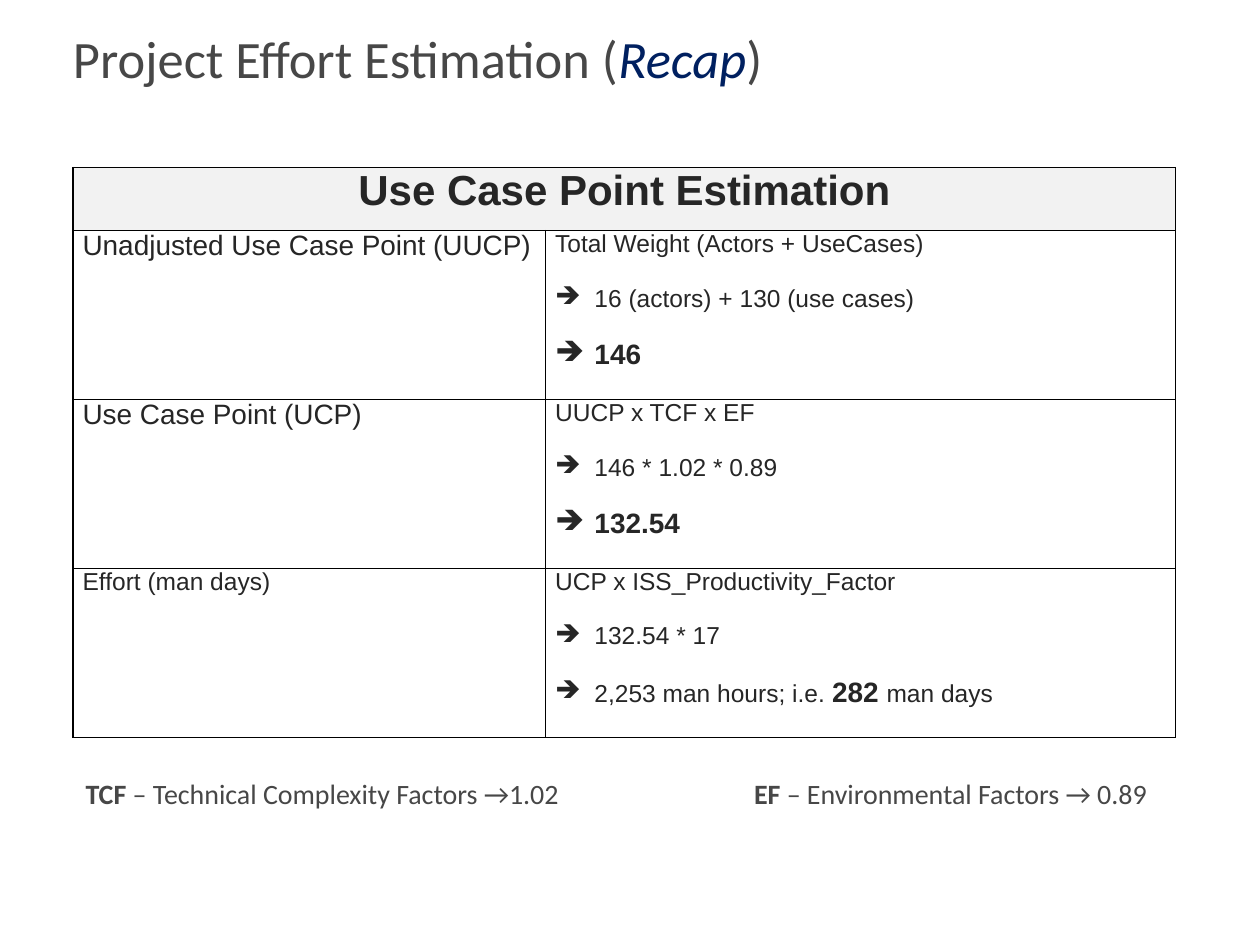
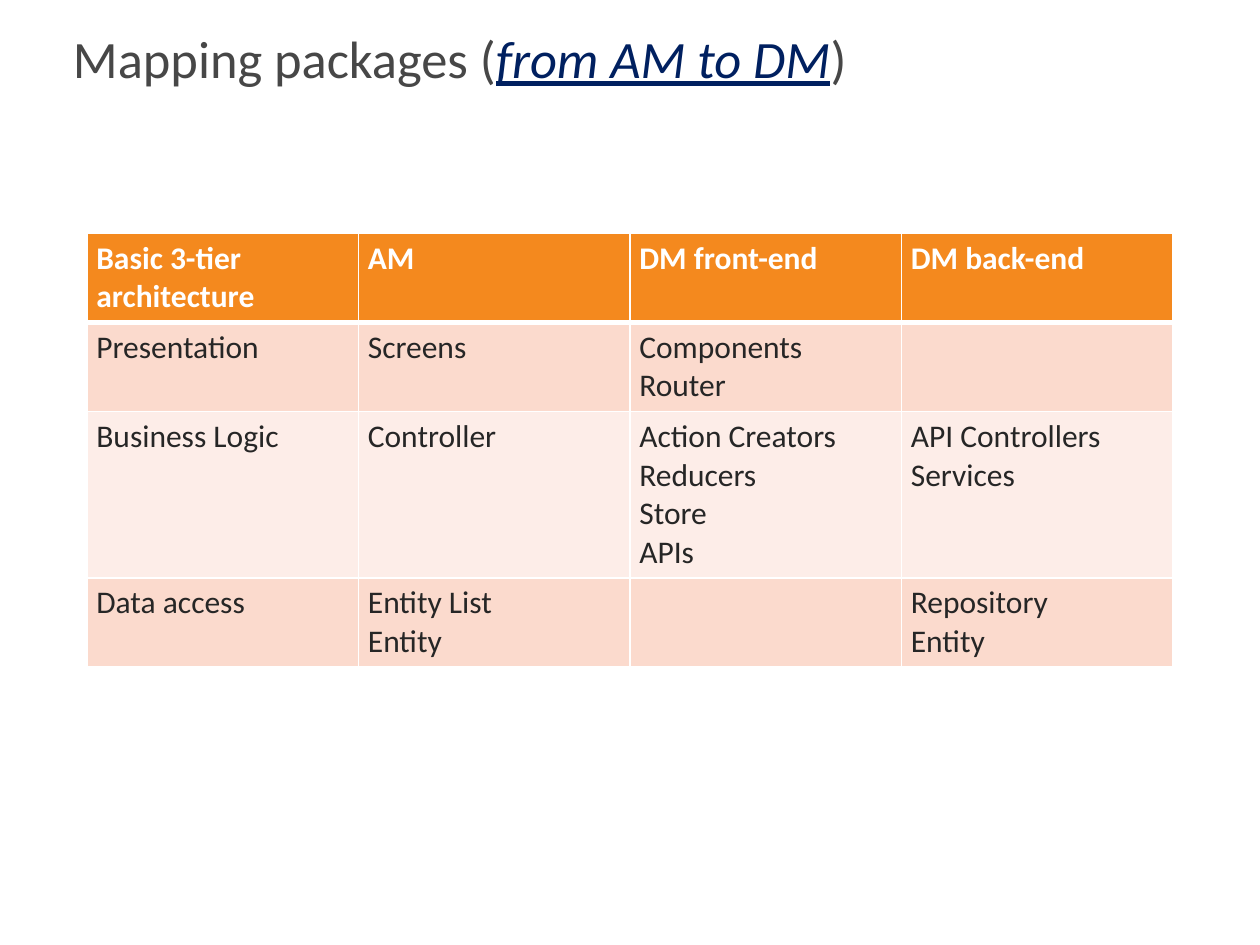
import dataclasses
import lxml.etree
import pptx
import pptx.dml.color
import pptx.enum.text
import pptx.oxml.ns
import pptx.util

Pt = pptx.util.Pt
Align = pptx.enum.text.PP_ALIGN
Anchor = pptx.enum.text.MSO_ANCHOR


@dataclasses.dataclass(frozen=True)
class Theme:
    heading: str = "474747"
    accent: str = "002060"
    text: str = "262626"
    white: str = "FFFFFF"
    grid: str = "000000"
    banner: str = "F2F2F2"
    header: str = "F4891E"
    bands: tuple = ("FBDACD", "FDEDE8")
    sans: str = "Calibri"
    estimate_font: str = "Arial"
    title_size: float = 30
    banner_size: float = 24
    mapping_size: float = 18
    large: float = 16
    small: float = 14


@dataclasses.dataclass(frozen=True)
class Box:
    left: float
    top: float
    width: float
    height: float

    def lengths(self):
        return Pt(self.left), Pt(self.top), Pt(self.width), Pt(self.height)


THEME = Theme()
TITLE_BOX = Box(34.5, 5.75, 661.7, 54)
ESTIMATE_BOX = Box(41.8, 95.8, 630, 325.5)
FACTORS_BOX = Box(41.8, 444.2, 630, 18)
MAPPING_BOX = Box(49.7, 133.2, 620.6, 248)

STRONG = dict(size=THEME.large, bold=True)
ESTIMATES = [
    ("Unadjusted Use Case Point (UUCP)", THEME.large,
     ["Total Weight (Actors + UseCases)", "16 (actors) + 130 (use cases)", [("146", STRONG)]]),
    ("Use Case Point (UCP)", THEME.large,
     ["UUCP x TCF x EF", "146 * 1.02 * 0.89", [("132.54", STRONG)]]),
    ("Effort (man days)", THEME.small,
     ["UCP x ISS_Productivity_Factor", "132.54 * 17",
      ["2,253 man hours; i.e. ", ("282 ", STRONG), "man days"]]),
]
MAPPING = [
    [["Basic 3-tier architecture"], ["AM"], ["DM front-end"], ["DM back-end"]],
    [["Presentation"], ["Screens"], ["Components", "Router"], []],
    [["Business Logic"], ["Controller"],
     ["Action Creators", "Reducers", "Store", "APIs"], ["API Controllers", "Services"]],
    [["Data access"], ["Entity List", "Entity"], [], ["Repository", "Entity"]],
]


def add_xml(parent, tag, **attributes):
    return lxml.etree.SubElement(parent, pptx.oxml.ns.qn(tag), attributes)


def rgb(color):
    return pptx.dml.color.RGBColor.from_string(color)


def write(frame, paragraphs, size, color, font=THEME.sans, bold=False,
          italic=False, underline=False, align=Align.LEFT):
    base = dict(size=size, color=color, font=font, bold=bold,
                italic=italic, underline=underline)
    for index, content in enumerate(paragraphs):
        paragraph = frame.paragraphs[0] if index == 0 else frame.add_paragraph()
        paragraph.alignment = align
        for piece in [content] if isinstance(content, str) else content:
            words, changes = (piece, {}) if isinstance(piece, str) else piece
            look = {**base, **changes}
            run = paragraph.add_run()
            run.text = words
            run.font.size = Pt(look["size"])
            run.font.name = look["font"]
            run.font.bold = look["bold"]
            run.font.italic = look["italic"]
            run.font.underline = look["underline"]
            run.font.color.rgb = rgb(look["color"])


def arrow_bullet(paragraph, indent=22.5, gap=15.3):
    paragraph.space_before = Pt(gap)
    properties = paragraph._p.get_or_add_pPr()
    properties.set("marL", str(Pt(indent)))
    properties.set("indent", str(-Pt(indent)))
    add_xml(properties, "a:buChar", char="➔")


def style_cell(cell, border, fill=None, inset=0, bottom=1):
    cell.margin_left = cell.margin_right = Pt(5.4)
    cell.margin_top = cell.margin_bottom = Pt(inset)
    properties = cell._tc.get_or_add_tcPr()
    for side in "LRTB":
        width = bottom if side == "B" else 1
        line = add_xml(properties, "a:ln" + side, w=str(Pt(width)))
        add_xml(add_xml(line, "a:solidFill"), "a:srgbClr", val=border)
    if fill:
        cell.fill.solid()
        cell.fill.fore_color.rgb = rgb(fill)
    else:
        cell.fill.background()


def add_grid(slide, box, widths, heights):
    grid = slide.shapes.add_table(len(heights), len(widths), *box.lengths()).table
    grid.first_row = grid.horz_banding = False
    for column, width in zip(grid.columns, widths):
        column.width = Pt(width)
    for row, height in zip(grid.rows, heights):
        row.height = Pt(height)
    return grid


def titled_slide(deck, box, lead, emphasis, **emphasis_format):
    slide = deck.slides.add_slide(deck.slide_layouts[5])
    title = slide.shapes.title
    title.left, title.top, title.width, title.height = box.lengths()
    frame = title.text_frame
    frame.auto_size = pptx.enum.text.MSO_AUTO_SIZE.NONE
    frame.vertical_anchor = Anchor.MIDDLE
    accent = dict(color=THEME.accent, italic=True, **emphasis_format)
    write(frame, [[lead + " (", (emphasis, accent), ")"]],
          size=THEME.title_size, color=THEME.heading)
    return slide


def estimate_table(slide, box):
    banner_height = 36
    row_height = (box.height - banner_height) / len(ESTIMATES)
    grid = add_grid(slide, box, [box.width * 3 / 7, box.width * 4 / 7],
                    [banner_height] + [row_height] * len(ESTIMATES))
    for index, row in enumerate(grid.rows):
        for cell in row.cells:
            style_cell(cell, THEME.grid, THEME.banner if index == 0 else None)
    banner = grid.cell(0, 0)
    banner.merge(grid.cell(0, 1))
    look = dict(color=THEME.text, font=THEME.estimate_font)
    write(banner.text_frame, ["Use Case Point Estimation"], size=THEME.banner_size,
          bold=True, align=Align.CENTER, **look)
    for index, (measure, size, steps) in enumerate(ESTIMATES, start=1):
        write(grid.cell(index, 0).text_frame, [measure], size=size, **look)
        formula = grid.cell(index, 1).text_frame
        write(formula, steps, size=THEME.small, **look)
        for step in formula.paragraphs[1:]:
            arrow_bullet(step)


def factors_line(slide, box):
    frame = slide.shapes.add_textbox(*box.lengths()).text_frame
    frame.word_wrap = True
    frame.vertical_anchor = Anchor.MIDDLE
    heavy = dict(bold=True)
    write(frame, [[("TCF", heavy), " – Technical Complexity Factors →1.02\t",
                   ("EF", heavy), " – Environmental Factors → 0.89"]],
          size=THEME.large, color=THEME.heading)
    stops = add_xml(frame.paragraphs[0]._p.get_or_add_pPr(), "a:tabLst")
    add_xml(stops, "a:tab", pos=str(Pt(382)), algn="l")


def mapping_table(slide, box):
    columns = len(MAPPING[0])
    line_height, inset = 22, 3.5
    heights = [line_height * max(2, *map(len, row)) + 2 * inset for row in MAPPING]
    grid = add_grid(slide, box, [box.width / columns] * columns, heights)
    for row_index, row in enumerate(MAPPING):
        is_header = row_index == 0
        fill = THEME.header if is_header else THEME.bands[(row_index - 1) % 2]
        for column_index, entries in enumerate(row):
            cell = grid.cell(row_index, column_index)
            style_cell(cell, THEME.white, fill, inset, bottom=3 if is_header else 1)
            write(cell.text_frame, entries, size=THEME.mapping_size, bold=is_header,
                  color=THEME.white if is_header else THEME.text)


def main():
    deck = pptx.Presentation()
    deck.slide_width, deck.slide_height = Pt(720), Pt(540)
    estimation = titled_slide(deck, TITLE_BOX, "Project Effort Estimation", "Recap")
    estimate_table(estimation, ESTIMATE_BOX)
    factors_line(estimation, FACTORS_BOX)
    packages = titled_slide(deck, TITLE_BOX, "Mapping packages", "from AM to DM",
                            underline=True)
    mapping_table(packages, MAPPING_BOX)
    deck.save("out.pptx")


if __name__ == "__main__":
    main()
